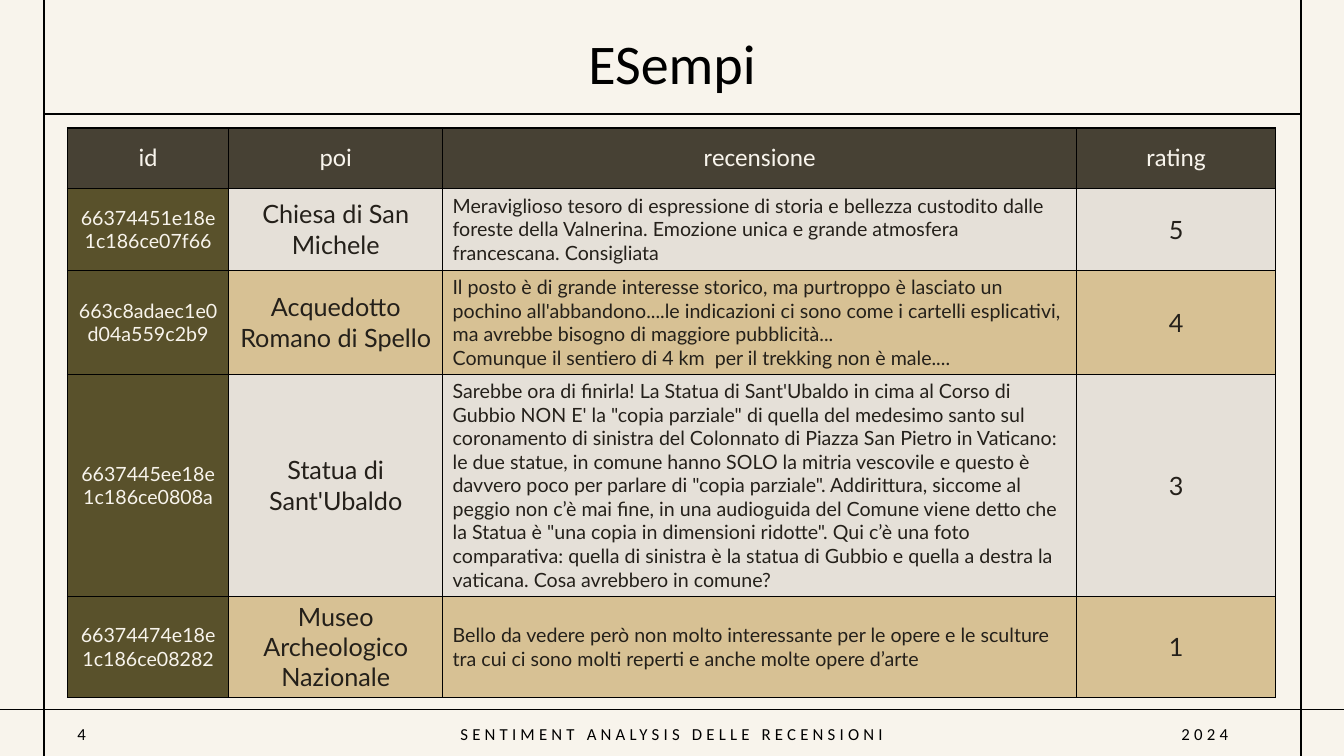
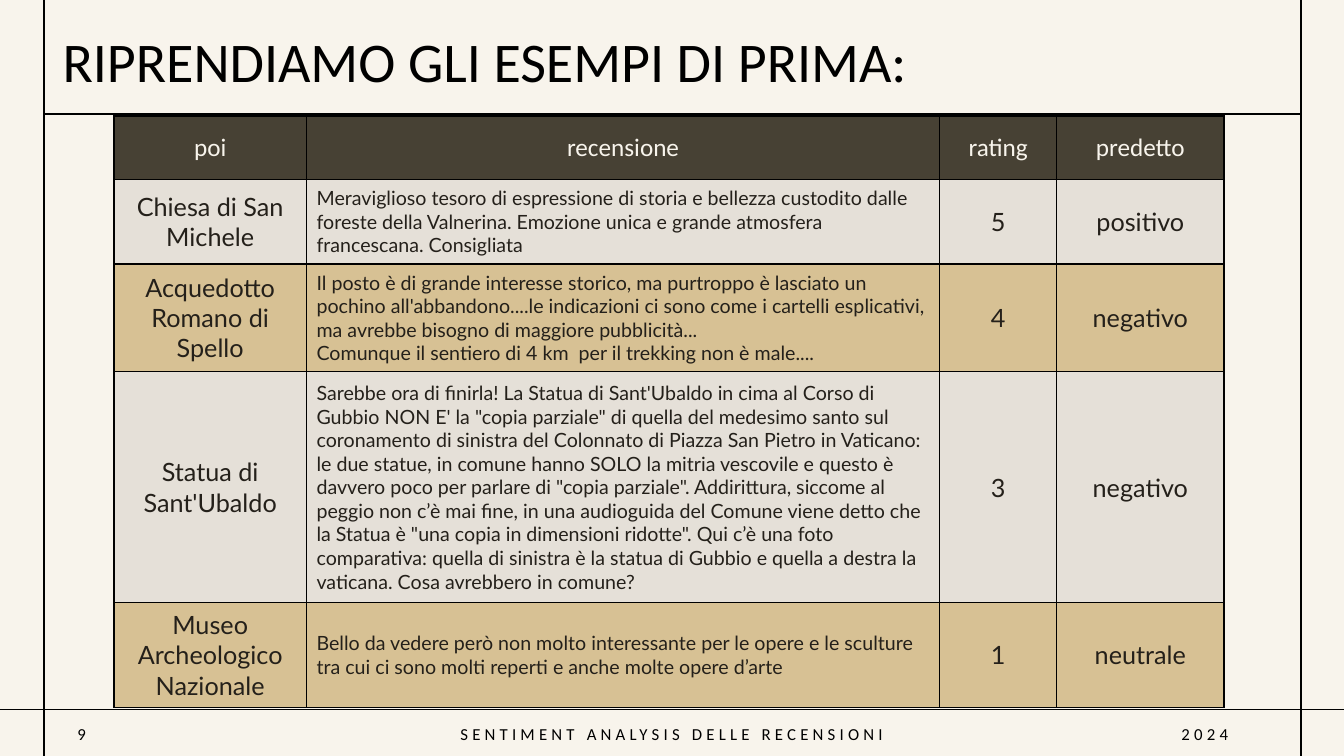
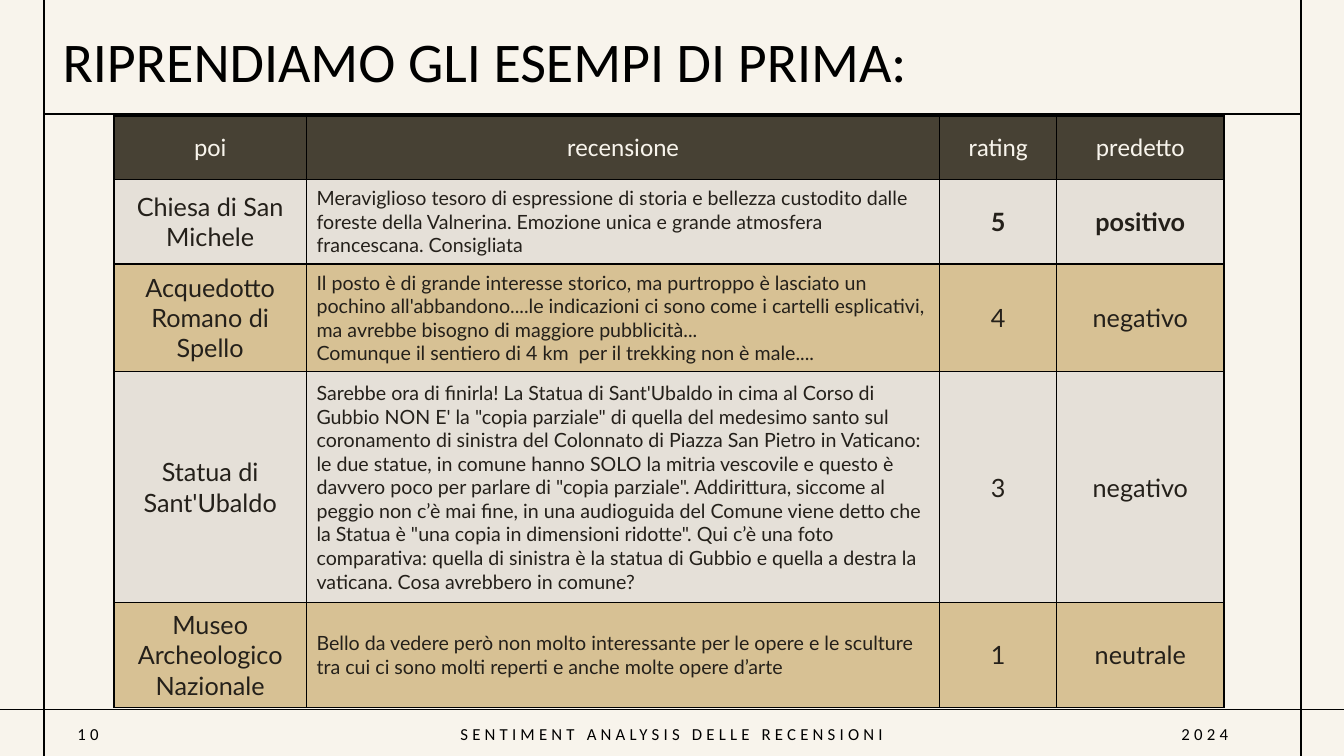
import lxml.etree
import pptx
import pptx.dml.color
import pptx.enum.shapes
import pptx.enum.text
import pptx.oxml.ns
import pptx.util

Inches = pptx.util.Inches
ALIGN = pptx.enum.text.PP_ALIGN
MIDDLE = pptx.enum.text.MSO_ANCHOR.MIDDLE
qn = pptx.oxml.ns.qn

COLORS = {
    "paper": "F8F4EC", "line": "000000", "ink": "24201A", "header": "474134",
    "id": "59512B", "light": "E5E0D8", "sand": "D7C194",
}
FIELDS = ("id", "poi", "recensione", "rating", "predetto")
REVIEWS = [
    ("66374451e18e1c186ce07f66", "Chiesa di San Michele",
     "Meraviglioso tesoro di espressione di storia e bellezza custodito dalle foreste della "
     "Valnerina. Emozione unica e grande atmosfera francescana. Consigliata",
     "5", "positivo"),
    ("663c8adaec1e0d04a559c2b9", "Acquedotto Romano di Spello",
     "Il posto è di grande interesse storico, ma purtroppo è lasciato un pochino "
     "all'abbandono....le indicazioni ci sono come i cartelli esplicativi, ma avrebbe bisogno "
     "di maggiore pubblicità...\nComunque il sentiero di 4 km  per il trekking non è male....",
     "4", "negativo"),
    ("6637445ee18e1c186ce0808a", "Statua di Sant'Ubaldo",
     "Sarebbe ora di finirla! La Statua di Sant'Ubaldo in cima al Corso di Gubbio NON E' la "
     "\"copia parziale\" di quella del medesimo santo sul coronamento di sinistra del Colonnato "
     "di Piazza San Pietro in Vaticano: le due statue, in comune hanno SOLO la mitria vescovile "
     "e questo è davvero poco per parlare di \"copia parziale\". Addirittura, siccome al peggio "
     "non c’è mai fine, in una audioguida del Comune viene detto che la Statua è \"una copia in "
     "dimensioni ridotte\". Qui c’è una foto comparativa: quella di sinistra è la statua di "
     "Gubbio e quella a destra la vaticana. Cosa avrebbero in comune?",
     "3", "negativo"),
    ("66374474e18e1c186ce08282", "Museo Archeologico Nazionale",
     "Bello da vedere però non molto interessante per le opere e le sculture tra cui ci sono "
     "molti reperti e anche molte opere d’arte",
     "1", "neutrale"),
]


def write(tf, text, size=18, font="Calibri", color="line", align=ALIGN.LEFT, bold=False,
          tracking=0, line_spacing=None):
    """Fill a text frame, one paragraph per line; tracking is in points."""
    for i, line in enumerate(text.split("\n")):
        p = tf.add_paragraph() if i else tf.paragraphs[0]
        p.alignment = align
        if line_spacing:
            p.line_spacing = line_spacing
        r = p.add_run()
        r.text = line
        r.font.size = pptx.util.Pt(size)
        r.font.name = font
        r.font.bold = bold
        r.font.color.rgb = pptx.dml.color.RGBColor.from_string(COLORS[color])
        if tracking:
            r.font._element.set("spc", str(tracking * 100))


def add_review_table(s, left, top, columns, heights, bold_row):
    """Add a table of reviews; columns maps a field to its width in inches."""
    frame = s.shapes.add_table(len(heights), len(columns), Inches(left), Inches(top),
                               Inches(sum(columns.values())), Inches(sum(heights)))
    table = frame.table
    for row, height in zip(table.rows, heights):
        row.height = Inches(height)
    for c, (field, width) in enumerate(columns.items()):
        table.columns[c].width = Inches(width)
        values = [field] + [review[FIELDS.index(field)] for review in REVIEWS]
        for r, value in enumerate(values):
            cell = table.cell(r, c)
            cell.vertical_anchor = MIDDLE
            tcPr = cell._tc.get_or_add_tcPr()
            for side in ("a:lnL", "a:lnR", "a:lnT", "a:lnB"):
                ln = lxml.etree.SubElement(tcPr, qn(side), w=str(pptx.util.Pt(1)))
                fill = lxml.etree.SubElement(ln, qn("a:solidFill"))
                lxml.etree.SubElement(fill, qn("a:srgbClr"), val=COLORS["line"])
            if r == 0:
                shade = "header"
            elif field == "id":
                shade = "id"
            else:
                shade = "light" if r % 2 else "sand"
            cell.fill.solid()
            cell.fill.fore_color.rgb = pptx.dml.color.RGBColor.from_string(COLORS[shade])
            write(cell.text_frame, value,
                  size=14 if r and field in ("id", "recensione") else 18,
                  font="Lato" if r else "Calibri",
                  color="paper" if shade in ("header", "id") else "ink",
                  align=ALIGN.LEFT if r and field == "recensione" else ALIGN.CENTER,
                  bold=r > 0 and r == bold_row and field in ("rating", "predetto"))


prs = pptx.Presentation()
prs.slide_width, prs.slide_height = Inches(13.33), Inches(7.5)
layout = prs.slide_layouts[5]
layout.background.fill.solid()
layout.background.fill.fore_color.rgb = pptx.dml.color.RGBColor.from_string(COLORS["paper"])

EXAMPLES = {
    "title": "ESempi", "title_box": (2.2, 0.22, 8.93, 0.87), "align": ALIGN.CENTER,
    "top": 1.27, "heights": (0.6, 0.81, 0.99, 2.11, 0.96),
    "tables": [(0.67, {"id": 1.6, "poi": 2.12, "recensione": 6.29, "rating": 1.97})],
}
PREDICTIONS = {
    "title": "RIPRENDIAMO GLI ESEMPI DI PRIMA:", "title_box": (0.52, 0.2, 10.7, 0.87),
    "align": ALIGN.LEFT, "top": 1.15, "heights": (0.63, 0.84, 1.07, 2.29, 1.04),
    "tables": [(1.13, {"poi": 1.91, "recensione": 6.28, "rating": 1.16}),
               (10.48, {"predetto": 1.66})],
}

for page, content, bold_row in ((4, EXAMPLES, None), (9, PREDICTIONS, None), (10, PREDICTIONS, 1)):
    s = prs.slides.add_slide(layout)
    title = s.shapes.title
    title.left, title.top, title.width, title.height = map(Inches, content["title_box"])
    title.text_frame.vertical_anchor = MIDDLE
    title.text_frame.auto_size = pptx.enum.text.MSO_AUTO_SIZE.NONE
    write(title.text_frame, content["title"], size=40, align=content["align"], line_spacing=0.9)

    for left, columns in content["tables"]:
        add_review_table(s, left, content["top"], columns, content["heights"], bold_row)

    for text, left, width, align in (
            (str(page), 0.67, 1.04, ALIGN.LEFT),
            ("SENTIMENT ANALYSIS DELLE RECENSIONI", 4.15, 5.03, ALIGN.CENTER),
            ("2024", 11.62, 1.04, ALIGN.LEFT)):
        tf = s.shapes.add_textbox(Inches(left), Inches(7.13), Inches(width), Inches(0.3)).text_frame
        tf.word_wrap = True
        tf.vertical_anchor = MIDDLE
        write(tf, text, size=12, align=align, tracking=3)

# The frame lines are drawn once and moved to the layout that all slides share.
for ends in ((0.44, 1.13, 12.9, 1.13), (0, 7.04, 13.33, 7.04),
             (0.44, 7.5, 0.44, 0), (12.9, 7.5, 12.9, 0)):
    line = s.shapes.add_connector(pptx.enum.shapes.MSO_CONNECTOR.STRAIGHT, *map(Inches, ends))
    line.line.width = pptx.util.Pt(1.25)
    line.line.color.rgb = pptx.dml.color.RGBColor.from_string(COLORS["line"])
    lxml.etree.SubElement(line.element.spPr, qn("a:effectLst"))
    layout.shapes.element.append(line.element)

prs.save("out.pptx")
